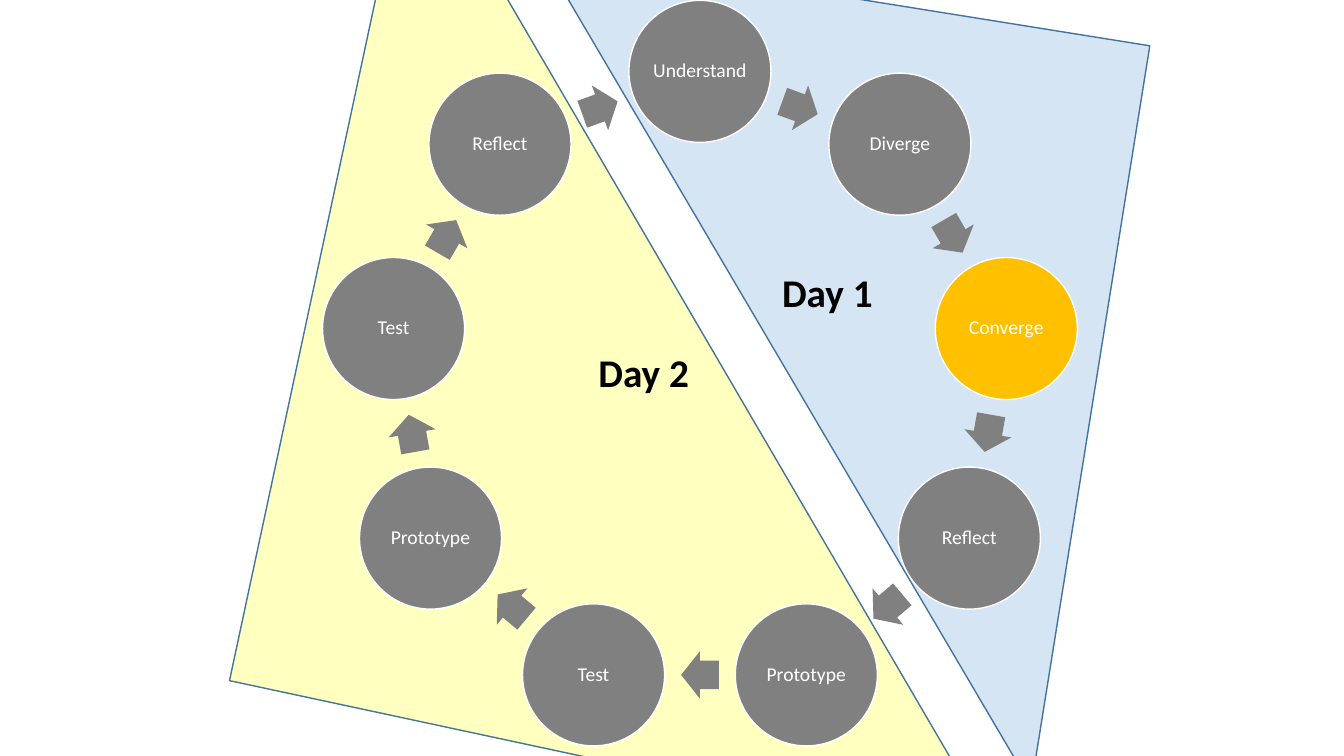
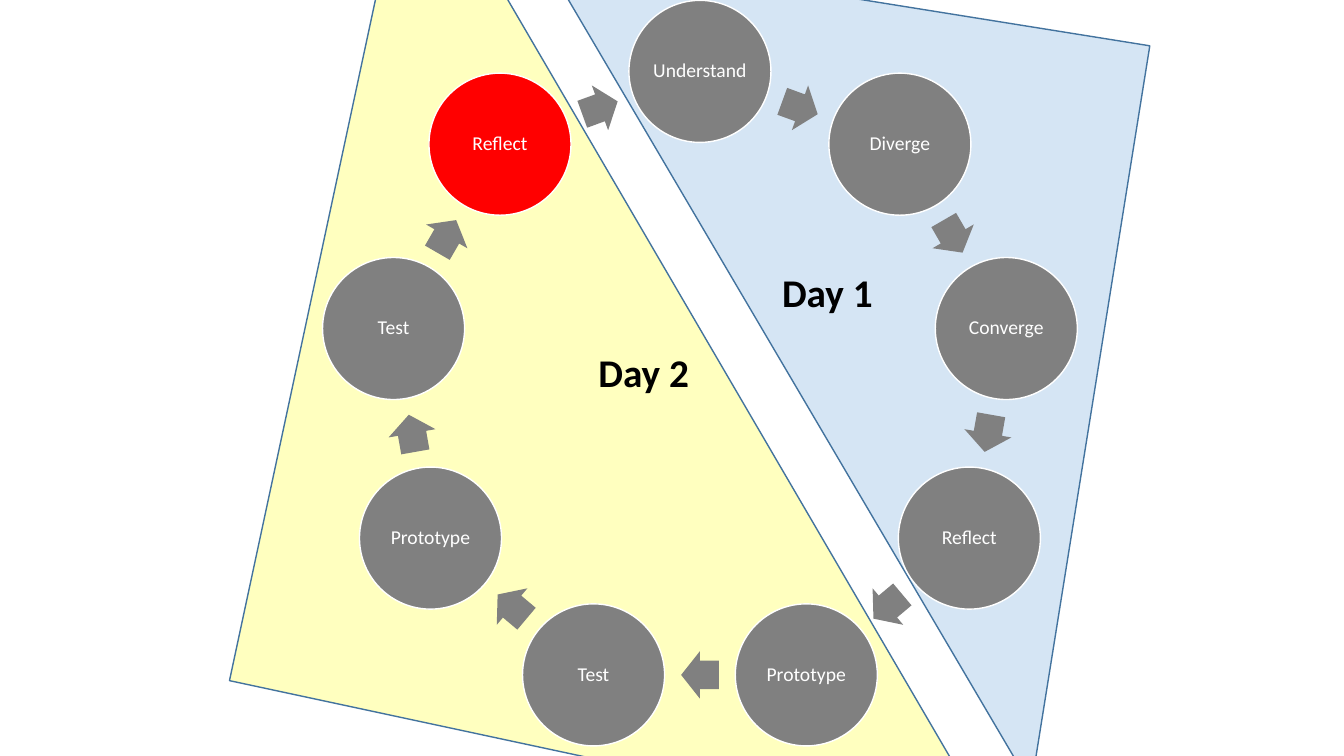
import math

import lxml.etree
import pptx
import pptx.dml.color
import pptx.enum.shapes
import pptx.enum.text
import pptx.oxml.ns
import pptx.util

Cm = pptx.util.Cm
Pt = pptx.util.Pt
SHAPE = pptx.enum.shapes.MSO_SHAPE

STEPS = ["Understand", "Diverge", "Converge", "Reflect", "Prototype",
         "Test", "Prototype", "Test", "Reflect"]


def color(hex_string):
    return pptx.dml.color.RGBColor.from_string(hex_string)


class Deck:
    FONT = "Calibri"
    GRAY, WHITE, BLACK = "808080", "FFFFFF", "000000"
    DAY1, DAY2, EDGE = "5B9BD5", "FFFF00", "43739E"

    # Cycle geometry in cm
    CENTER_X, CENTER_Y, RADIUS = 17.64, 9.64, 7.84
    STEP_SIZE = 3.58
    ARROW_W, ARROW_H = 0.95, 1.2

    def __init__(self):
        self.prs = pptx.Presentation()
        self.prs.slide_width = Cm(33.87)
        self.prs.slide_height = Cm(19.05)
        self.s = None

    def new_slide(self):
        self.s = self.prs.slides.add_slide(self.prs.slide_layouts[6])

    def shape(self, parent, kind, x, y, w, h, fill, line=None, rotation=0):
        sp = parent.shapes.add_shape(kind, Cm(x), Cm(y), Cm(w), Cm(h))
        sp.shadow.inherit = False
        sp.rotation = rotation
        sp.fill.solid()
        sp.fill.fore_color.rgb = color(fill)
        if line:
            sp.line.color.rgb = color(line)
            sp.line.width = Pt(1)
        else:
            sp.line.fill.background()
        return sp

    def text_run(self, p, text, size, font_color, bold=False):
        r = p.add_run()
        r.text = text
        r.font.name = self.FONT
        r.font.size = Pt(size)
        r.font.bold = bold
        r.font.color.rgb = color(font_color)

    def day_area(self, x, y, w, h, fill, rotation):
        sp = self.shape(self.s, SHAPE.RIGHT_TRIANGLE, x, y, w, h, fill,
                        self.EDGE, rotation)
        # Fill at 25 % opacity
        qn = pptx.oxml.ns.qn
        rgb = sp.element.spPr.find(qn("a:solidFill")).find(qn("a:srgbClr"))
        lxml.etree.SubElement(rgb, qn("a:alpha"), val="25000")

    def day_label(self, x, y, text):
        tf = self.s.shapes.add_textbox(Cm(x), Cm(y), Cm(2.95), Cm(1.45)).text_frame
        tf.word_wrap = False
        tf.auto_size = pptx.enum.text.MSO_AUTO_SIZE.SHAPE_TO_FIT_TEXT
        self.text_run(tf.paragraphs[0], text, 28, self.BLACK, bold=True)

    def on_ring(self, angle, radius, w, h):
        """Top left corner of a box centred on the ring, clockwise from the top."""
        a = math.radians(angle)
        return (self.CENTER_X + radius * math.sin(a) - w / 2,
                self.CENTER_Y - radius * math.cos(a) - h / 2)

    def step(self, group, angle, text, fill):
        d = self.STEP_SIZE
        x, y = self.on_ring(angle, self.RADIUS, d, d)
        sp = self.shape(group, SHAPE.OVAL, x, y, d, d, fill, self.WHITE)
        tf = sp.text_frame
        tf.word_wrap = True
        tf.vertical_anchor = pptx.enum.text.MSO_ANCHOR.MIDDLE
        tf.margin_left = tf.margin_right = Cm(0.05)
        tf.margin_top = tf.margin_bottom = Cm(0.05)
        p = tf.paragraphs[0]
        p.alignment = pptx.enum.text.PP_ALIGN.CENTER
        p.line_spacing = 0.9
        self.text_run(p, text, 14, self.WHITE)

    def arrow(self, group, angle, radius):
        x, y = self.on_ring(angle, radius, self.ARROW_W, self.ARROW_H)
        sp = self.shape(group, SHAPE.RIGHT_ARROW, x, y, self.ARROW_W,
                        self.ARROW_H, self.GRAY, rotation=angle)
        sp.adjustments[0] = 0.6
        sp.adjustments[1] = 0.5

    def cycle(self, steps, current, highlight):
        group = self.s.shapes.add_group_shape()
        turn = 360 / len(steps)
        # Arrows sit halfway along the straight line between two steps
        arrow_radius = self.RADIUS * math.cos(math.radians(turn / 2))
        for i, text in enumerate(steps):
            fill = highlight if i == current else self.GRAY
            self.step(group, i * turn, text, fill)
            self.arrow(group, (i + 0.5) * turn, arrow_radius)


def main():
    deck = Deck()
    # One slide for each highlighted step
    for current, highlight in [(2, "FFC000"), (8, "FF0000")]:
        deck.new_slide()
        # Day areas
        deck.day_area(11.96, -0.2, 15.62, 18.9, deck.DAY1, 189.1)
        deck.day_area(7.85, -2.34, 19.91, 21.82, deck.DAY2, 12.1)
        # Process cycle
        deck.cycle(STEPS, current, highlight)
        # Day labels
        deck.day_label(19.46, 6.63, "Day 1")
        deck.day_label(14.83, 8.66, "Day 2")
    deck.prs.save("out.pptx")


if __name__ == "__main__":
    main()
